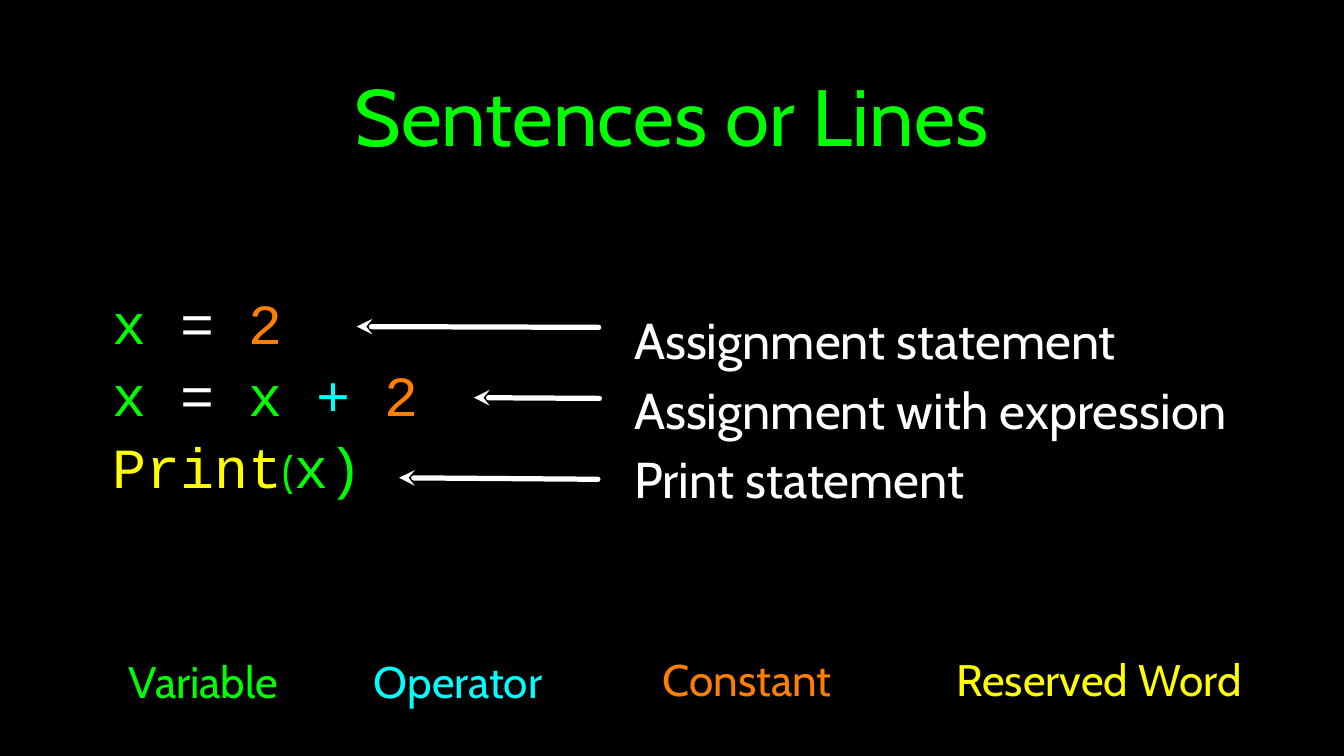
from lxml import etree
from pptx import Presentation
from pptx.dml.color import RGBColor
from pptx.enum.shapes import MSO_CONNECTOR
from pptx.enum.text import MSO_ANCHOR, MSO_AUTO_SIZE, PP_ALIGN
from pptx.oxml.ns import qn
from pptx.util import Inches, Pt

STRAIGHT = MSO_CONNECTOR.STRAIGHT
MIDDLE = MSO_ANCHOR.MIDDLE
NO_FIT = MSO_AUTO_SIZE.NONE
LEFT, CENTER = PP_ALIGN.LEFT, PP_ALIGN.CENTER

THEME = {
    "background": "000000", "plain": "FFFFFF",
    "variable": "00FF00", "operator": "00FFFF",
    "constant": "FF7F00", "reserved": "FFFF00",
    "text": "Cabin", "code": "Courier New",
    "title_size": 76, "code_size": 54, "note_size": 48, "key_size": 42,
    "arrow_width": 5,
}

# Content: each line is a list of (text, role) runs
TITLE = "Sentences or Lines"
CODE = [
    [("x ", "variable"), ("=", "plain"), (" 2", "constant")],
    [("x ", "variable"), ("= ", "plain"), ("x ", "variable"),
     ("+", "operator"), (" 2", "constant")],
    [("Print", "reserved"), ("(", "variable"), ("x)", "variable")],
]
NOTES = ["Assignment statement", "Assignment with expression", "Print statement"]
KEY = [  # word, role, left, top, width
    ("Variable", "variable", 1.49, 8.61, 2.4),
    ("Operator", "operator", 4.86, 8.61, 2.4),
    ("Constant", "constant", 8.73, 8.58, 2.31),
    ("Reserved Word", "reserved", 12.63, 8.58, 3.82),
]
ARROWS = [  # tip, tail
    ((4.72, 4.32), (7.92, 4.33)),
    ((6.27, 5.26), (7.93, 5.27)),
    ((5.28, 6.32), (7.91, 6.34)),
]
COLUMN_HEIGHT, KEY_HEIGHT = 4.42, 0.79


def color(role):
    return RGBColor.from_string(THEME[role])


def write(sp, lines, box, size, font="text", align=LEFT, spacing=1.0, inset=0):
    """Place sp at box and fill it with lines of (text, role) runs."""
    sp.left, sp.top, sp.width, sp.height = map(Inches, box)
    tf = sp.text_frame
    tf.word_wrap, tf.auto_size, tf.vertical_anchor = True, NO_FIT, MIDDLE
    tf.margin_left = tf.margin_right = Inches(inset)
    tf.margin_top = tf.margin_bottom = Inches(inset)
    for i, line in enumerate(lines):
        p = tf.add_paragraph() if i else tf.paragraphs[0]
        p.alignment, p.line_spacing = align, spacing
        p.space_before = p.space_after = Pt(0)
        pPr = p._p.get_or_add_pPr()
        pPr.set("marL", "0")
        pPr.set("indent", "0")
        etree.SubElement(pPr, qn("a:buNone"))
        for text, role in line:
            r = p.add_run()
            r.text = text
            r.font.name, r.font.size = THEME[font], Pt(THEME[size])
            r.font.color.rgb = color(role)
    return tf


def arrow(slide, tip, tail):
    """Draw a round-ended line with a stealth head at tip."""
    c = slide.shapes.add_connector(STRAIGHT, *map(Inches, tip + tail))
    c.line.width = Pt(THEME["arrow_width"])
    c.line.color.rgb = color("plain")
    ln = c.line._get_or_add_ln()
    ln.set("cap", "rnd")
    etree.SubElement(ln, qn("a:headEnd"), type="stealth")
    etree.SubElement(c._element.spPr, qn("a:effectLst"))


def main():
    prs = Presentation()
    prs.slide_width, prs.slide_height = Inches(17.78), Inches(10)
    s = prs.slides.add_slide(prs.slide_layouts.get_by_name("Two Content"))
    s.background.fill.solid()
    s.background.fill.fore_color.rgb = color("background")
    title, code, notes = list(s.placeholders)[:3]

    # Title
    write(title, [[(TITLE, "variable")]], (1.26, 0.26, 15.24, 2.51),
          "title_size", align=CENTER, inset=0.04)

    # Code and its explanation
    tf = write(code, CODE, (1.49, 2.97, 4.78, COLUMN_HEIGHT),
               "code_size", font="code", spacing=1.06)
    bracket = tf.paragraphs[2].runs[1].font
    bracket.name, bracket.size = THEME["text"], Pt(THEME["key_size"])
    write(notes, [[(note, "plain")] for note in NOTES],
          (8.39, 3.14, 8.65, COLUMN_HEIGHT), "note_size", spacing=1.15)

    # Colour key
    for word, role, left, top, width in KEY:
        sp = s.shapes.add_textbox(0, 0, 0, 0)
        write(sp, [[(word, role)]], (left, top, width, KEY_HEIGHT),
              "key_size", align=CENTER)

    # Arrows from explanation to code
    for tip, tail in ARROWS:
        arrow(s, tip, tail)

    prs.save("out.pptx")


if __name__ == "__main__":
    main()
